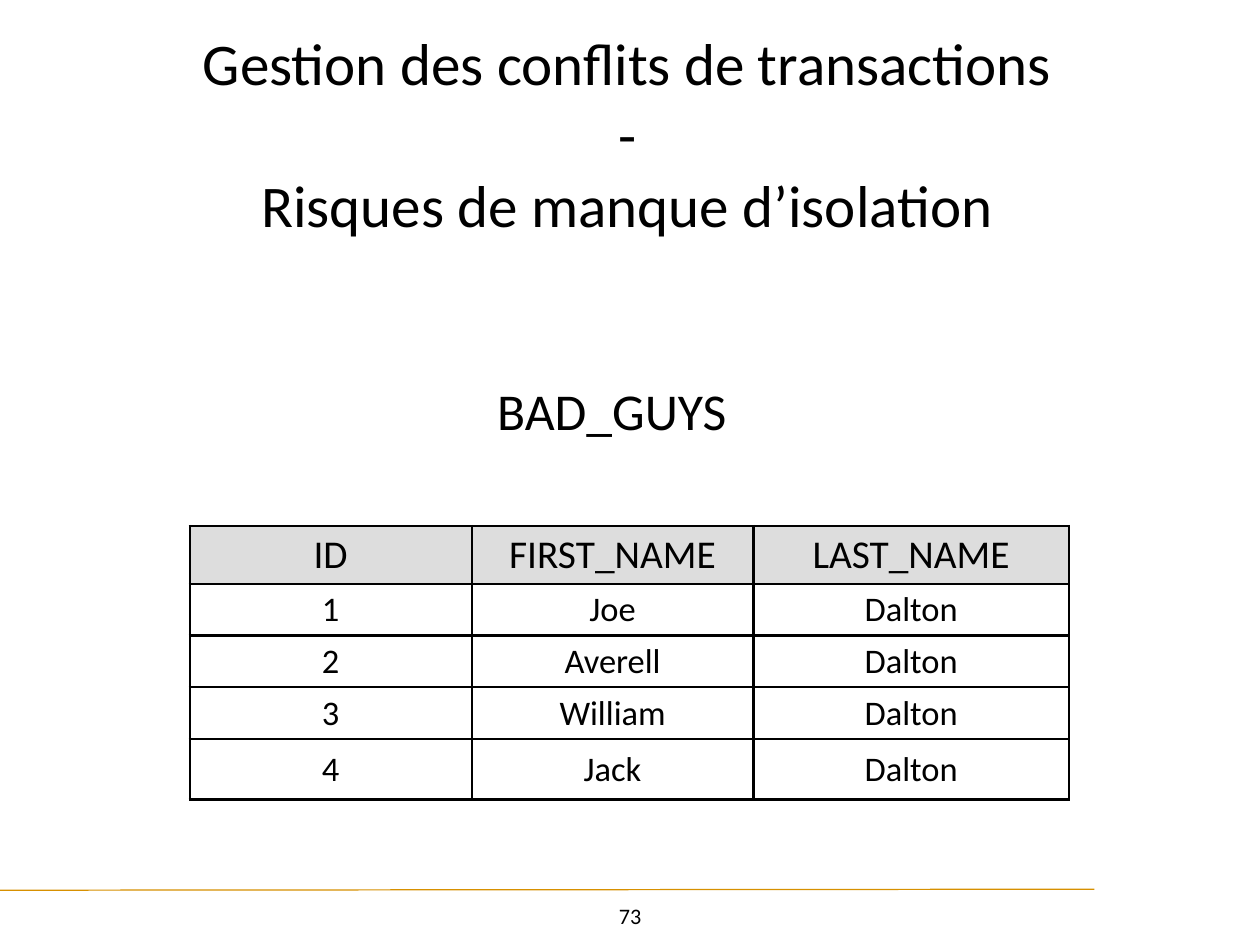
from dataclasses import dataclass

from lxml.etree import SubElement
from pptx import Presentation
from pptx.dml.color import RGBColor
from pptx.enum.shapes import MSO_CONNECTOR
from pptx.enum.text import MSO_ANCHOR as Anchor, MSO_AUTO_SIZE as AutoSize, PP_ALIGN as Align
from pptx.oxml.ns import qn
from pptx.util import Cm, Pt


@dataclass(frozen=True)
class Theme:
    font: str = "Calibri"
    ink: str = "000000"
    header_fill: str = "DDDDDD"
    rule: str = "D79000"
    title_size: int = 48
    caption_size: int = 42
    header_size: int = 32
    body_size: int = 28
    number_size: int = 18
    border_width: int = 2
    inset: float = 0.15


THEME = Theme()
TITLE_LINES = ["Gestion des conflits de transactions", "-", "Risques de manque d’isolation"]
HEADERS = ["ID", "FIRST_NAME", "LAST_NAME"]
FIRST_NAMES = ["Joe", "Averell", "William", "Jack"]
LAST_NAME = "Dalton"
COLUMN_WIDTHS = [8.08, 8.08, 9.04]
ROW_HEIGHTS = [1.47] * 4 + [1.73]


def write_lines(text_frame, lines, size):
    """Fill a text frame with centred paragraphs, one per line."""
    for index, line in enumerate(lines):
        paragraph = text_frame.add_paragraph() if index else text_frame.paragraphs[0]
        paragraph.alignment = Align.CENTER
        run = paragraph.add_run()
        run.text = line
        run.font.name = THEME.font
        run.font.size = Pt(size)
        run.font.color.rgb = RGBColor.from_string(THEME.ink)


def set_insets(target):
    """Give a text frame or a table cell the same margin on all sides."""
    target.margin_left = target.margin_right = Cm(THEME.inset)
    target.margin_top = target.margin_bottom = Cm(THEME.inset)


def place_title(slide, left, top, width, height):
    title = slide.shapes.title
    title.left, title.top, title.width, title.height = left, top, width, height
    frame = title.text_frame
    set_insets(frame)
    frame.auto_size = AutoSize.NONE
    frame.vertical_anchor = Anchor.MIDDLE
    write_lines(frame, TITLE_LINES, THEME.title_size)


def add_label(slide, text, size, anchor, left, top, width, height):
    frame = slide.shapes.add_textbox(left, top, width, height).text_frame
    set_insets(frame)
    frame.word_wrap = False
    frame.auto_size = AutoSize.SHAPE_TO_FIT_TEXT
    frame.vertical_anchor = anchor
    write_lines(frame, [text], size)


def add_footer_rule(slide, start_x, start_y, end_x, end_y):
    rule = slide.shapes.add_connector(MSO_CONNECTOR.STRAIGHT, start_x, start_y, end_x, end_y)
    rule.line.color.rgb = RGBColor.from_string(THEME.rule)
    rule.line.width = Pt(1)
    SubElement(rule._element.spPr, qn("a:effectLst"))


def add_borders(cell):
    properties = cell._tc.get_or_add_tcPr()
    for side in ("lnL", "lnR", "lnT", "lnB"):
        border = SubElement(properties, qn(f"a:{side}"), w=str(Pt(THEME.border_width)))
        fill = SubElement(border, qn("a:solidFill"))
        SubElement(fill, qn("a:srgbClr"), val=THEME.ink)


def format_cell(cell, text, is_header):
    set_insets(cell)
    cell.vertical_anchor = Anchor.MIDDLE
    add_borders(cell)
    if is_header:
        cell.fill.solid()
        cell.fill.fore_color.rgb = RGBColor.from_string(THEME.header_fill)
    else:
        cell.fill.background()
    write_lines(cell.text_frame, [text], THEME.header_size if is_header else THEME.body_size)


def add_people_table(slide, left, top):
    rows = [HEADERS] + [[str(number), name, LAST_NAME]
                        for number, name in enumerate(FIRST_NAMES, 1)]
    table = slide.shapes.add_table(len(rows), len(HEADERS), left, top,
                                   Cm(sum(COLUMN_WIDTHS)), Cm(sum(ROW_HEIGHTS))).table
    table.first_row = table.horz_banding = False
    for column, width in zip(table.columns, COLUMN_WIDTHS):
        column.width = Cm(width)
    for row, height, texts in zip(table.rows, ROW_HEIGHTS, rows):
        row.height = Cm(height)
        for cell, text in zip(row.cells, texts):
            format_cell(cell, text, texts is HEADERS)


def main():
    presentation = Presentation()
    presentation.slide_width, presentation.slide_height = Cm(36.12), Cm(27.1)
    slide = presentation.slides.add_slide(presentation.slide_layouts[5])
    add_footer_rule(slide, Cm(-1), Cm(25.53), Cm(31.37), Cm(25.5))
    place_title(slide, Cm(1.65), Cm(0.71), Cm(32.66), Cm(6.2))
    add_label(slide, "73", THEME.number_size, Anchor.TOP,
              Cm(17.58), Cm(25.72), Cm(0.97), Cm(1.02))
    add_people_table(slide, Cm(5.44), Cm(15.08))
    add_label(slide, "BAD_GUYS", THEME.caption_size, Anchor.MIDDLE,
              Cm(13.64), Cm(10.74), Cm(7.8), Cm(2.01))
    presentation.save("out.pptx")


if __name__ == "__main__":
    main()
